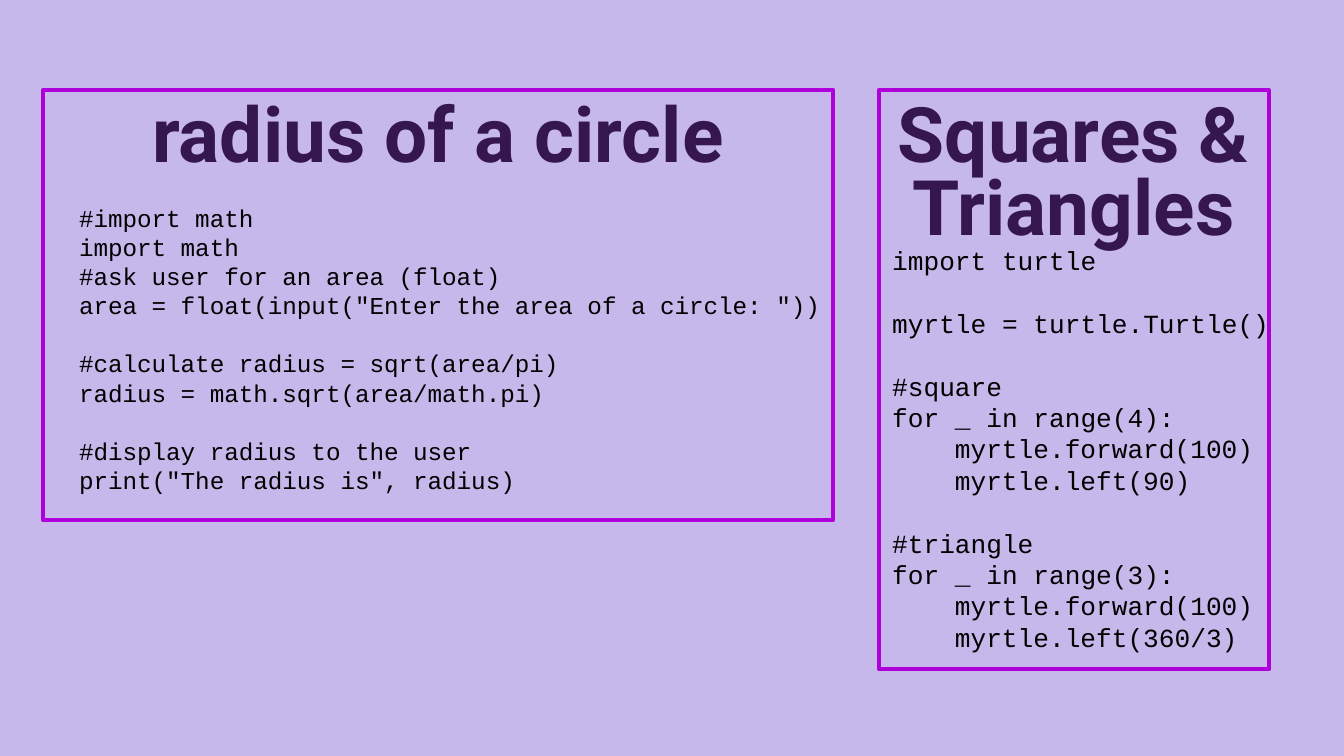
from pptx import Presentation
from pptx.dml.color import RGBColor
from pptx.enum.shapes import MSO_SHAPE
from pptx.enum.text import MSO_ANCHOR, PP_ALIGN
from pptx.util import Inches, Pt

RECT = MSO_SHAPE.RECTANGLE
TOP = MSO_ANCHOR.TOP
CENTER = PP_ALIGN.CENTER

CODE_FONT, HEAD_FONT = "Courier New", "Roboto"
LILAC, VIOLET, PLUM, BLACK = "C6B8EB", "AF00DB", "36174D", "000000"
LEADING = 1.2  # line height as a share of the font size
CHAR = 0.6     # character width as a share of the font size

# Each inner list is a block of code, set off by a gap of one line
CIRCLE = [
    ["#import math",
     "import math",
     "#ask user for an area (float)",
     'area = float(input("Enter the area of a circle: "))'],
    ["#calculate radius = sqrt(area/pi)",
     "radius = math.sqrt(area/math.pi)"],
    ["#display radius to the user",
     'print("The radius is", radius)'],
]


def loop(name, sides, angle):
    return [f"#{name}",
            f"for _ in range({sides}):",
            "\tmyrtle.forward(100)",
            f"\tmyrtle.left({angle})"]


SHAPES = [
    ["import turtle"],
    ["myrtle = turtle.Turtle()"],
    loop("square", 4, "90"),
    loop("triangle", 3, "360/3"),
]


def color(code):
    return RGBColor.from_string(code)


def set_frame(shape):
    frame = shape.text_frame
    frame.word_wrap = True
    frame.vertical_anchor = TOP
    frame.margin_left = frame.margin_right = Inches(0.1)
    frame.margin_top = frame.margin_bottom = Inches(0.1)
    return frame


def add_run(para, text, font, size, ink, bold=False):
    run = para.add_run()
    run.text = text
    run.font.name = font
    run.font.size = Pt(size)
    run.font.bold = bold
    run.font.color.rgb = color(ink)


def add_code(slide, box, blocks, size):
    frame = set_frame(slide.shapes.add_textbox(*map(Inches, box)))
    para = frame.paragraphs[0]
    for i, block in enumerate(blocks):
        for j, line in enumerate(block):
            if i or j:
                para = frame.add_paragraph()
            if i and not j:
                para.space_before = Pt(size * LEADING)
            if line.startswith("\t"):
                # Indent by four characters
                para._p.get_or_add_pPr().set("marL", str(Pt(4 * CHAR * size)))
            add_run(para, line.strip(), CODE_FONT, size, BLACK)


def add_panel(slide, box, title):
    panel = slide.shapes.add_shape(RECT, *map(Inches, box))
    panel.shadow.inherit = False
    panel.fill.background()
    panel.line.color.rgb = color(VIOLET)
    panel.line.width = Pt(2.25)
    para = set_frame(panel).paragraphs[0]
    para.alignment = CENTER
    para.line_spacing = 0.8
    add_run(para, title, HEAD_FONT, 41, PLUM, bold=True)


def main():
    deck = Presentation()
    # Widescreen, 16 to 9
    deck.slide_width = Inches(10)
    deck.slide_height = Inches(10 * 9 / 16)
    slide = deck.slides.add_slide(deck.slide_layouts[6])
    back = slide.background.fill
    back.solid()
    back.fore_color.rgb = color(LILAC)

    # Code listings
    add_code(slide, (6.54, 1.72, 3.28, 3.5), SHAPES, 14)
    add_code(slide, (0.49, 1.41, 5.81, 2.39), CIRCLE, 13)

    # Framed headings
    add_panel(slide, (0.32, 0.67, 5.88, 3.2), "radius of a circle")
    add_panel(slide, (6.54, 0.67, 2.9, 4.31), "Squares & Triangles")

    deck.save("out.pptx")


if __name__ == "__main__":
    main()
